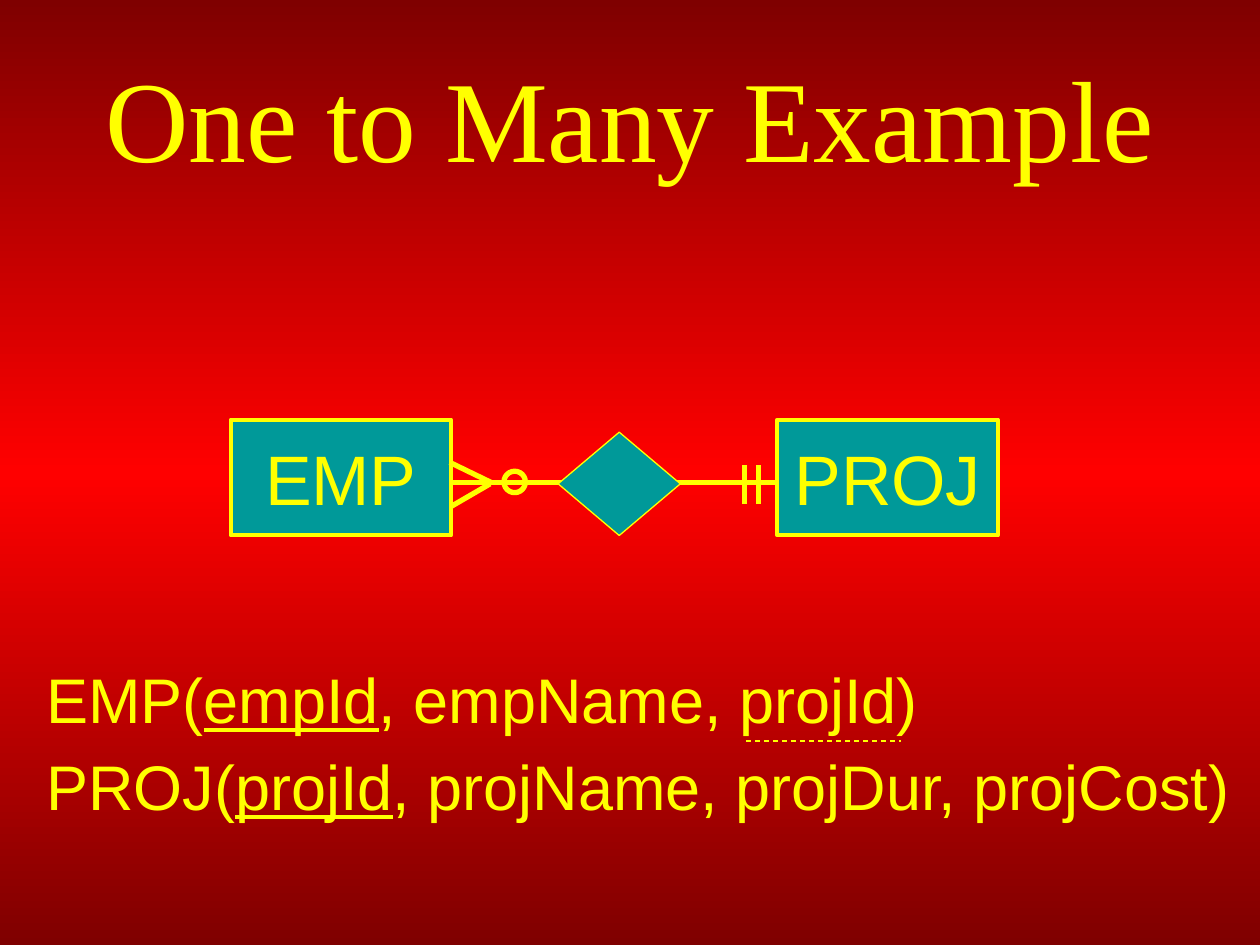
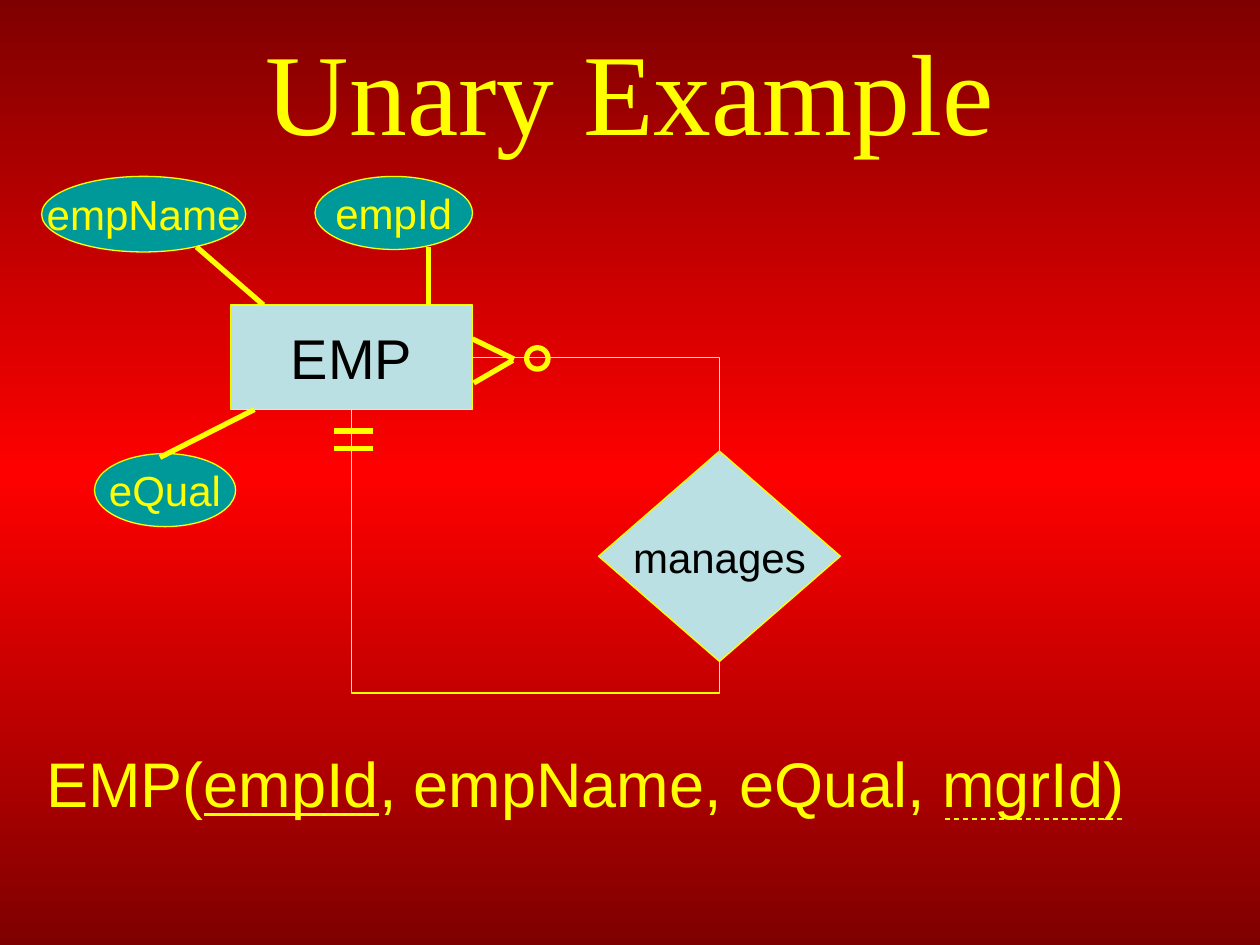
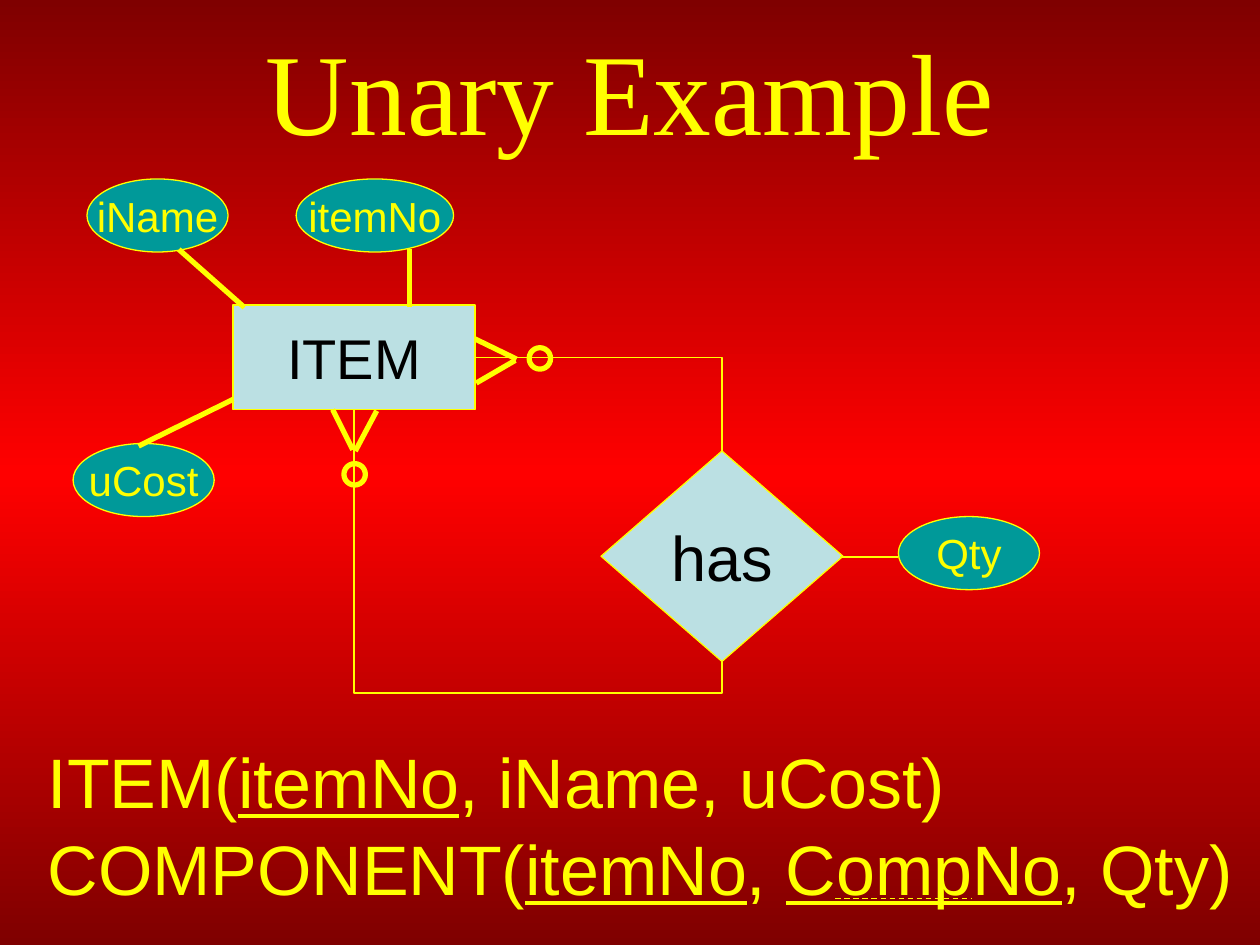
import copy

import pptx
import pptx.dml.color
import pptx.enum.dml
import pptx.enum.shapes
import pptx.enum.text
import pptx.oxml.ns
import pptx.util

Inches, Pt = pptx.util.Inches, pptx.util.Pt
rgb = pptx.dml.color.RGBColor.from_string
qn = pptx.oxml.ns.qn
SHAPE = pptx.enum.shapes.MSO_SHAPE
CONNECTOR = pptx.enum.shapes.MSO_CONNECTOR
ALIGN = pptx.enum.text.PP_ALIGN
ANCHOR = pptx.enum.text.MSO_ANCHOR

YELLOW, TEAL, PALE, BLACK = "FFFF00", "009999", "BBE0E3", "000000"
DARK_RED, RED = "7F0000", "FF0000"


def add_box(s, kind, at, text="", size=24, color=YELLOW, fill=None, line=0.75,
            font="Arial", align=ALIGN.CENTER, anchor=ANCHOR.MIDDLE):
    """Add a preset shape, or a text box if kind is None; text between bars is underlined."""
    at = [Inches(v) for v in at]
    if kind is None:
        sp = s.shapes.add_textbox(*at)
    else:
        sp = s.shapes.add_shape(kind, *at)
        sp.shadow.inherit = False
        sp.line.color.rgb = rgb(YELLOW)
        sp.line.width = Pt(line)
        if fill:
            sp.fill.solid()
            sp.fill.fore_color.rgb = rgb(fill)
        else:
            sp.fill.background()
    tf = sp.text_frame
    tf.word_wrap = False
    tf.vertical_anchor = anchor
    p = tf.paragraphs[0]
    p.alignment = align
    for i, part in enumerate(text.split("|") if text else []):
        r = p.add_run()
        r.text = part
        r.font.color.rgb = rgb(color)
        for name, value in {"name": font, "size": Pt(size), "underline": i % 2 == 1}.items():
            setattr(r.font, name, value)
    return sp


def add_line(s, x1, y1, x2, y2, width=3, dash=False, kind=CONNECTOR.STRAIGHT):
    c = s.shapes.add_connector(kind, Inches(x1), Inches(y1), Inches(x2), Inches(y2))
    c.line.color.rgb = rgb(YELLOW)
    c.line.width = Pt(width)
    if dash:
        c.line.dash_style = pptx.enum.dml.MSO_LINE.DASH
    c.element.spPr.append(c.element.makeelement(qn("a:effectLst"), {}))
    return c


prs = pptx.Presentation()
prs.slide_width, prs.slide_height = Inches(10), Inches(7.5)

# Shared red gradient
master = prs.slide_master
fill = master.background.fill
fill.gradient()
fill.gradient_angle = 270
stop_list = master.element.find(".//" + qn("a:gsLst"))
stop_list.append(copy.deepcopy(stop_list[0]))
for stop, position, color in zip(fill.gradient_stops, (0, 0.5, 1), (DARK_RED, RED, DARK_RED)):
    stop.position = position
    stop.color.rgb = rgb(color)

# Titles
slides = []
for title, top in (("One to Many Example", 0.3), ("Unary Example", 0.08), ("Unary Example", 0.08)):
    s = prs.slides.add_slide(prs.slide_layouts[6])
    sp = add_box(s, None, (0.5, top, 9, 1.25), title, 66, font="Times New Roman")
    sp.text_frame.word_wrap = True
    slides.append(s)

# Slide 1: two entities and their relationship
s = slides[0]
for name, left in (("EMP", 1.83), ("PROJ", 6.17)):
    add_box(s, SHAPE.RECTANGLE, (left, 3.33, 1.75, 0.92), name, 40, fill=TEAL, line=2.25)
add_line(s, 3.58, 3.83, 6.17, 3.83)
add_box(s, SHAPE.DIAMOND, (4.43, 3.43, 0.97, 0.82), fill=TEAL)
for x in (5.91, 6.02):
    add_line(s, x, 4, x, 3.69)

# Slides 2 and 3: an entity related to itself
unary = [
    {"shift": 0, "entity": "EMP", "relation": "manages", "size": 24,
     "attributes": [("empId", 2.5, 1.4, 1.25, 0.58), ("empName", 0.33, 1.4, 1.62, 0.6),
                    ("eQual", 0.75, 3.6, 1.12, 0.58)],
     "lines": [(2.09, 2.42, 1.56, 1.96), (3.4, 2.42, 3.4, 1.96), (2.02, 3.25, 1.27, 3.63),
               (2.65, 3.42, 2.96, 3.42), (2.65, 3.56, 2.96, 3.56)]},
    {"shift": 0.02, "entity": "ITEM", "relation": "has", "size": 36,
     "attributes": [("itemNo", 2.35, 1.42, 1.25, 0.58), ("iName", 0.69, 1.42, 1.12, 0.58),
                    ("uCost", 0.58, 3.52, 1.12, 0.58), ("Qty", 7.13, 4.1, 1.12, 0.58)],
     "lines": [(1.94, 2.44, 1.42, 1.98), (3.25, 2.44, 3.25, 1.98), (1.85, 3.17, 1.1, 3.54),
               (2.99, 3.26, 2.82, 3.58), (2.64, 3.25, 2.8, 3.57)]},
]
for s, d in zip(slides[1:], unary):
    dx = d["shift"]
    entity = add_box(s, SHAPE.RECTANGLE, (1.83 + dx, 2.42, 1.92, 0.83), d["entity"], 32, BLACK, PALE)
    relation = add_box(s, SHAPE.DIAMOND, (4.75 + dx, 3.58, 1.92, 1.67), d["relation"], d["size"],
                       BLACK, PALE)

    c = add_line(s, 3.75 + dx, 2.83, 5.71 + dx, 3.58, 0.75, kind=CONNECTOR.ELBOW)
    c.begin_connect(entity, 3)
    c.end_connect(relation, 0)
    c.element.spPr.find(qn("a:prstGeom")).set("prst", "bentConnector2")

    # The loop back is an elbow turned a quarter, bulging below the diamond
    c = add_line(s, 5.71 + dx, 5.25, 2.79 + dx, 3.25, 0.75, kind=CONNECTOR.ELBOW)
    c.begin_connect(relation, 2)
    c.end_connect(entity, 2)
    c.left, c.top, c.width, c.height = [Inches(v) for v in (3.25 + dx, 2.79, 2, 2.92)]
    for name, value in {"rot": "16200000", "flipH": "0", "flipV": "1"}.items():
        c.element.spPr.find(qn("a:xfrm")).set(name, value)
    guides = c.element.spPr.find(qn("a:prstGeom")).get_or_add_avLst()
    guides.append(guides.makeelement(qn("a:gd"), {"name": "adj1", "fmla": "val -12500"}))

    for name, *at in d["attributes"]:
        add_box(s, SHAPE.OVAL, at, name, fill=TEAL)
    for ends in d["lines"]:
        add_line(s, *ends)

add_box(slides[2], SHAPE.OVAL, (2.73, 3.68, 0.17, 0.17), line=3)
add_line(slides[2], 6.67, 4.42, 7.13, 4.42, 0.75)

# Crow's foot with a circle, to the right of each "many" entity
for s, x, y in zip(slides, (3.57, 3.75, 3.77), (3.83, 2.85, 2.85)):
    add_line(s, x, y - 0.16, x + 0.33, y)
    add_line(s, x + 0.01, y + 0.19, x + 0.32, y + 0.01)
    add_box(s, SHAPE.OVAL, (x + 0.43, y - 0.09, 0.17, 0.17), line=3)

# Relational schemas: keys underlined, foreign keys dashed; widths leave room for one line
schemas = [
    (0, 0.27, 5.19, 7.2, 36, "EMP(|empId|, empName, projId)"),
    (0, 0.27, 5.88, 9.7, 36, "PROJ(|projId|, projName, projDur, projCost)"),
    (1, 0.27, 5.86, 8.85, 36, "EMP(|empId|, empName, eQual, mgrId)"),
    (2, 0.28, 5.81, 7.45, 40, "ITEM(|itemNo|, iName, uCost)"),
    (2, 0.28, 6.5, 9.7, 40, "COMPONENT(|itemNo|, |CompNo|, Qty)"),
]
for i, left, top, width, size, text in schemas:
    add_box(slides[i], None, (left, top, width, 0.7 if size == 36 else 0.77), text, size,
            align=ALIGN.LEFT, anchor=ANCHOR.TOP)
for s, x1, x2, y in zip(slides, (5.92, 7.5, 6.63), (7.15, 8.92, 7.71), (5.88, 6.5, 7.13)):
    add_line(s, x1, y, x2, y, 0.75, dash=True)

prs.save("out.pptx")
